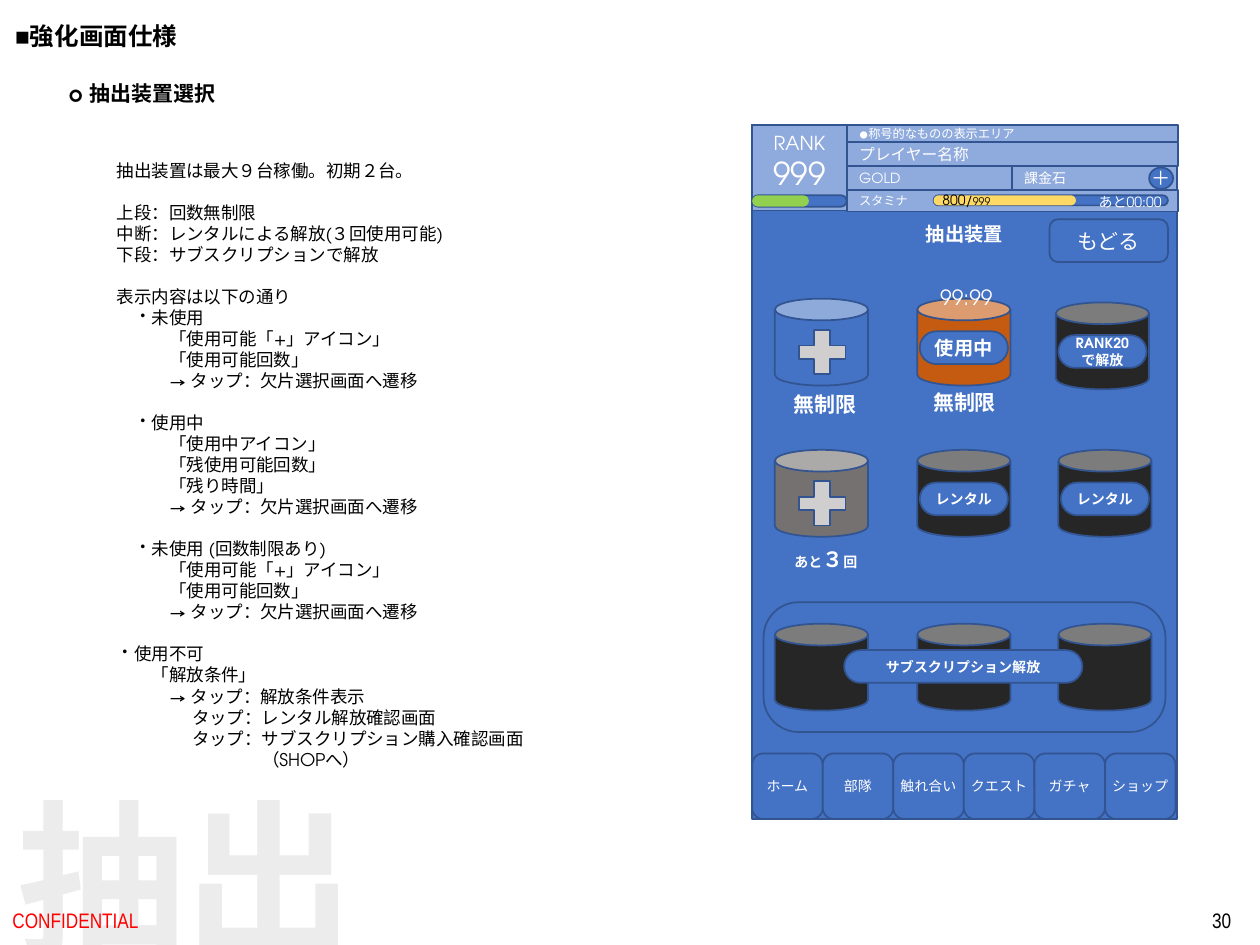
import pptx
import pptx.dml.color
import pptx.enum.shapes
import pptx.enum.text
import pptx.oxml.ns
import pptx.util
from lxml import etree
from pptx.util import Inches, Pt

RGBColor = pptx.dml.color.RGBColor
SHAPE = pptx.enum.shapes.MSO_SHAPE
ALIGN = pptx.enum.text.PP_ALIGN
ANCHOR = pptx.enum.text.MSO_ANCHOR
qn = pptx.oxml.ns.qn

BLACK = RGBColor(0x00, 0x00, 0x00)
WHITE = RGBColor(0xFF, 0xFF, 0xFF)
RED = RGBColor(0xFF, 0x00, 0x00)
GRAY = RGBColor(0x80, 0x80, 0x80)
BLUE = RGBColor(0x44, 0x72, 0xC4)
OUTLINE = RGBColor(0x32, 0x54, 0x91)
LIGHT_BLUE = RGBColor(0x8F, 0xAA, 0xDC)
GREEN = RGBColor(0x92, 0xD0, 0x50)
YELLOW = RGBColor(0xFF, 0xD9, 0x66)
ORANGE = RGBColor(0xC5, 0x5A, 0x11)
STONE = RGBColor(0x76, 0x71, 0x71)
SILVER = RGBColor(0xD0, 0xCE, 0xCE)
DARK = RGBColor(0x26, 0x26, 0x26)

FONT = "TeX Gyre Adventor"
BODY_SIZE = 10

# Each block is set apart by a gap; a line is (indent in points, text, bulleted).
BODY_BLOCKS = [
    [(10, "抽出装置は最大９台稼働。初期２台。", False)],
    [(10, "上段：回数無制限", False),
     (10, "中断：レンタルによる解放(３回使用可能)", False),
     (10, "下段：サブスクリプションで解放", False)],
    [(10, "表示内容は以下の通り", False),
     (20, "未使用", True),
     (40, "「使用可能「+」アイコン」", False),
     (40, "「使用可能回数」", False),
     (40, "→ タップ：欠片選択画面へ遷移", False)],
    [(20, "使用中", True),
     (40, "「使用中アイコン」", False),
     (40, "「残使用可能回数」", False),
     (40, "「残り時間」", False),
     (40, "→ タップ：欠片選択画面へ遷移", False)],
    [(20, "未使用 (回数制限あり)", True),
     (40, "「使用可能「+」アイコン」", False),
     (40, "「使用可能回数」", False),
     (40, "→ タップ：欠片選択画面へ遷移", False)],
    [(10, "使用不可", True),
     (30, "「解放条件」", False),
     (40, "→ タップ：解放条件表示", False),
     (53, "タップ：レンタル解放確認画面", False),
     (53, "タップ：サブスクリプション購入確認画面", False),
     (93, "（SHOPへ）", False)],
]


def format_run(run, size, color, bold, font):
    run.font.size = Pt(size)
    run.font.bold = bold
    run.font.color.rgb = color
    run.font.name = font
    etree.SubElement(run.font._element, qn("a:ea"), typeface=font)


def write(shape, *paragraphs, size=8, color=WHITE, bold=False, font=FONT,
          align=ALIGN.CENTER, anchor=ANCHOR.MIDDLE, wrap=False):
    """Fill a shape with text; a paragraph is a list of (text, size) runs or a string."""
    frame = shape.text_frame
    frame.auto_size = pptx.enum.text.MSO_AUTO_SIZE.NONE
    frame.word_wrap = wrap
    frame.vertical_anchor = anchor
    for index, runs in enumerate(paragraphs):
        paragraph = frame.add_paragraph() if index else frame.paragraphs[0]
        paragraph.alignment = align
        for text, run_size in [(runs, size)] if isinstance(runs, str) else runs:
            run = paragraph.add_run()
            run.text = text
            format_run(run, run_size, color, bold, font)
    return shape


def add_label(slide, left, top, width, height, *paragraphs, **text_format):
    box = slide.shapes.add_textbox(Inches(left), Inches(top), Inches(width), Inches(height))
    return write(box, *paragraphs, **text_format)


def add_box(slide, kind, left, top, width, height, fill=BLUE, line=OUTLINE, corner=None):
    shape = slide.shapes.add_shape(
        kind, Inches(left), Inches(top), Inches(width), Inches(height))
    shape.shadow.inherit = False
    if fill is None:
        shape.fill.background()
    else:
        shape.fill.solid()
        shape.fill.fore_color.rgb = fill
    if line is None:
        shape.line.fill.background()
    else:
        shape.line.color.rgb = line
        shape.line.width = Pt(1)
    if corner is not None:
        shape.adjustments[0] = corner
    return shape


def add_pill(slide, left, top, width, height, **style):
    return add_box(slide, SHAPE.ROUNDED_RECTANGLE, left, top, width, height,
                   corner=0.5, **style)


def add_can(slide, left, top, fill=DARK):
    add_box(slide, SHAPE.CAN, left, top, 0.74, 0.69, fill=fill)


def add_open_can(slide, left, top, fill):
    """Device that can be started, marked with a plus."""
    add_can(slide, left, top, fill)
    add_box(slide, SHAPE.CROSS, left + 0.19, top + 0.25, 0.37, 0.35, fill=SILVER, corner=0.35)


def add_tagged_can(slide, left, top, *tag, fill=DARK, size=8):
    add_can(slide, left, top, fill)
    pill = add_pill(slide, left + 0.02, top + 0.26, 0.7, 0.26)
    write(pill, *tag, size=size, bold=True)


def add_description(slide):
    box = slide.shapes.add_textbox(Inches(0.69), Inches(1.22), Inches(3.64), Inches(5.15))
    frame = box.text_frame
    frame.word_wrap = True
    for block_index, block in enumerate(BODY_BLOCKS):
        for line_index, (indent, text, bulleted) in enumerate(block):
            first = block_index == line_index == 0
            paragraph = frame.paragraphs[0] if first else frame.add_paragraph()
            if block_index and line_index == 0:
                paragraph.space_before = Pt(12)
            properties = paragraph._p.get_or_add_pPr()
            hanging = Pt(2.8) if bulleted else 0
            properties.set("marL", str(Pt(indent) + hanging))
            properties.set("indent", str(-hanging))
            if bulleted:
                etree.SubElement(properties, qn("a:buFont"), typeface=FONT)
                etree.SubElement(properties, qn("a:buChar"), char="・")
            run = paragraph.add_run()
            run.text = text
            format_run(run, BODY_SIZE, BLACK, False, FONT)


def add_status_header(slide):
    rank = add_box(slide, SHAPE.RECTANGLE, 5.97, 0.99, 0.75, 0.68, fill=LIGHT_BLUE)
    write(rank, [("RANK", 11)], [("999", 18)], anchor=ANCHOR.TOP, wrap=True)
    cells = [
        (6.72, 0.99, 2.63, 0.14, "●称号的なものの表示エリア", 7),
        (6.72, 1.13, 2.63, 0.19, "プレイヤー名称", 9),
        (6.72, 1.32, 1.31, 0.19, "GOLD", 8),
        (8.03, 1.32, 1.31, 0.19, "課金石", 8),
        (6.72, 1.51, 2.63, 0.17, "スタミナ", 7),
    ]
    for left, top, width, height, text, size in cells:
        cell = add_box(slide, SHAPE.RECTANGLE, left, top, width, height, fill=LIGHT_BLUE)
        write(cell, text, size=size, align=ALIGN.LEFT, wrap=True)
    write(add_box(slide, SHAPE.OVAL, 9.12, 1.33, 0.19, 0.17), "＋", size=11)
    gauges = [(5.97, 0.75, 0.45, 0.09, GREEN), (7.41, 1.86, 1.13, 0.08, YELLOW)]
    for left, full, filled, height, color in gauges:
        add_pill(slide, left, 1.55, full, height)
        add_pill(slide, left, 1.55, filled, height, fill=color, line=None)
    add_label(slide, 7.39, 1.5, 0.56, 0.17, [("800/", 8), ("999", 6)], color=BLACK)
    add_label(slide, 8.69, 1.52, 0.56, 0.17, "あと00:00")


def add_devices(slide):
    columns = [6.15, 7.28, 8.4]
    add_open_can(slide, columns[0], 2.37, BLUE)
    add_label(slide, 6.19, 3.04, 0.71, 0.34, "無制限", size=12, bold=True)
    add_tagged_can(slide, columns[1], 2.37, "使用中", fill=ORANGE, size=11)
    add_label(slide, 7.32, 2.19, 0.7, 0.34, "99:99", size=12)
    add_label(slide, 7.3, 3.02, 0.71, 0.34, "無制限", size=12, bold=True)
    add_tagged_can(slide, 8.38, 2.4, "RANK20", "で解放")

    add_open_can(slide, columns[0], 3.57, STONE)
    add_label(slide, 6.2, 4.27, 0.71, 0.34,
              [("あと", 8), ("３", 12), ("回", 8)], bold=True)
    for left in columns[1:]:
        add_tagged_can(slide, left, 3.57, "レンタル")

    for left in columns:
        add_can(slide, left, 4.95)
    add_box(slide, SHAPE.ROUNDED_RECTANGLE, 6.06, 4.78, 3.19, 1.03, fill=None, corner=0.27)
    write(add_pill(slide, 6.7, 5.16, 1.89, 0.26), "サブスクリプション解放", bold=True)


def add_game_screen(slide):
    panel = add_box(slide, SHAPE.RECTANGLE, 5.97, 0.99, 3.37, 5.51)
    write(panel, "抽出装置", size=11, bold=True, font="Noto Sans CJK JP",
          anchor=ANCHOR.TOP, wrap=True)
    panel.text_frame.margin_top = Inches(0.77)
    add_status_header(slide)
    add_devices(slide)
    back = add_box(slide, SHAPE.ROUNDED_RECTANGLE, 8.33, 1.74, 0.94, 0.34, corner=0.2)
    write(back, "もどる", size=12)
    menu = ["ホーム", "部隊", "触れ合い", "クエスト", "ガチャ", "ショップ"]
    for index, name in enumerate(menu):
        button = add_box(slide, SHAPE.ROUNDED_RECTANGLE, 5.97 + 0.56 * index, 5.98, 0.56, 0.52)
        write(button, name)


def add_titles(slide):
    title = slide.shapes.title
    title.left, title.top = Inches(0.02), Inches(0.12)
    title.width, title.height = Inches(1.58), Inches(0.34)
    heading = dict(color=BLACK, bold=True, align=ALIGN.LEFT, anchor=ANCHOR.TOP)
    write(title, "■強化画面仕様", size=14, font="Arial", **heading)
    add_label(slide, 0.44, 0.59, 1.55, 0.3, "○ 抽出装置選択", size=12, **heading)


def add_section_mark(slide):
    mark = add_label(slide, 0.04, 6.1, 6.14, 1.72, "抽出", size=96, color=GRAY, bold=True,
                     align=ALIGN.LEFT, anchor=ANCHOR.TOP, wrap=True)
    color = mark._element.find(".//" + qn("a:srgbClr"))
    etree.SubElement(color, qn("a:alpha"), val="14000")


def add_footer(slide):
    footer = dict(size=12, font="Arial Narrow", wrap=True)
    add_label(slide, 0, 7.1, 3.38, 0.4, "CONFIDENTIAL", color=RED, align=ALIGN.LEFT, **footer)
    add_label(slide, 7.62, 7.1, 2.25, 0.4, "30", color=BLACK, align=ALIGN.RIGHT, **footer)


def main():
    presentation = pptx.Presentation()
    presentation.slide_width, presentation.slide_height = Inches(10), Inches(7.5)
    slide = presentation.slides.add_slide(presentation.slide_layouts[5])
    add_titles(slide)
    add_section_mark(slide)
    add_footer(slide)
    add_game_screen(slide)
    add_description(slide)
    presentation.save("out.pptx")


if __name__ == "__main__":
    main()
